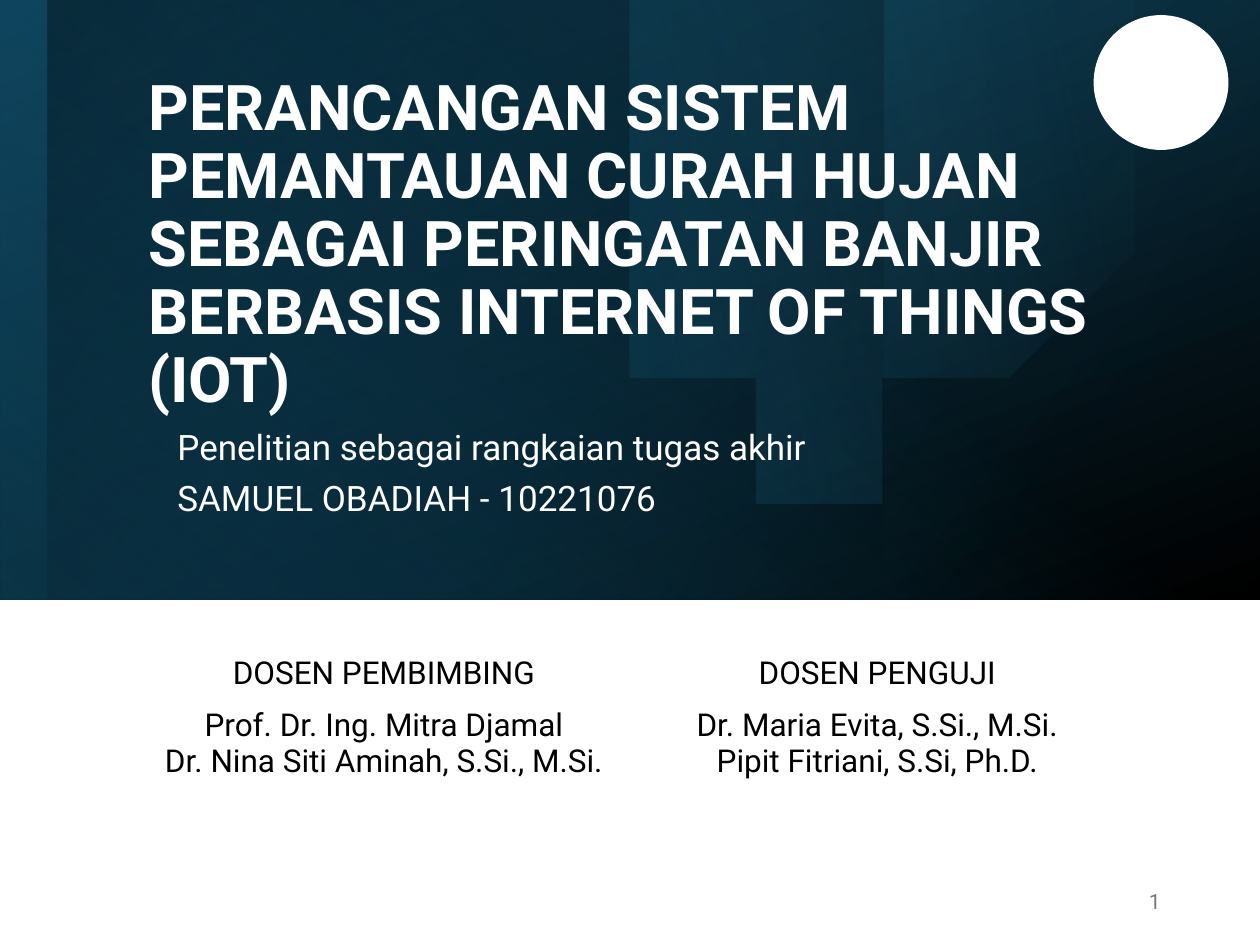
from lxml.etree import SubElement
from pptx import Presentation
from pptx.dml.color import RGBColor
from pptx.enum.shapes import MSO_SHAPE as SHAPE
from pptx.enum.text import MSO_ANCHOR as ANCHOR, PP_ALIGN as ALIGN
from pptx.oxml.ns import qn
from pptx.util import Inches, Pt


def color(hex_code):
    return RGBColor.from_string(hex_code)


def fade(shape, angle, *stops):
    """Fill with two (position %, colour, opacity %) stops; angle runs clockwise."""
    shape.shadow.inherit = False
    shape.line.fill.background()
    shape.fill.gradient()
    shape.fill.gradient_angle = 360 - angle
    for stop, (position, hex_code, _) in zip(shape.fill.gradient_stops, stops):
        stop.position = position / 100
        stop.color.rgb = color(hex_code)
    for node, (_, _, opacity) in zip(shape._element.spPr.iter(qn("a:srgbClr")), stops):
        if opacity < 100:
            SubElement(node, qn("a:alpha"), val=str(opacity * 1000))


deck = Presentation()
deck.slide_width, deck.slide_height = Inches(10), Inches(7.5)
page = deck.slides.add_slide(deck.slide_layouts[6])
shapes = page.shapes

# Banner: layered gradient panels
panels = [
    ((0, -0.02, 10, 4.78), 180, 250, (0, "104862", 100), (100, "000000", 100)),
    ((2.61, -2.63, 4.78, 10), 90, 40, (40, "156082", 0), (100, "104862", 52)),
    ((2.8, -2.45, 4.78, 9.63), 90, 130, (17, "156082", 0), (100, "000000", 37)),
    ((0, -0.02, 7.01, 4.78), 0, 310, (0, "0B3041", 0), (100, "000000", 25)),
]
for bounds, rotation, angle, *stops in panels:
    panel = shapes.add_shape(SHAPE.RECTANGLE, *map(Inches, bounds))
    panel.rotation = rotation
    fade(panel, angle, *stops)

# Translucent leaf: two straight edges, then four Bezier curves
leaf_points = [(5.13, 0.31), (9.22, -0.22), (9.22, -0.21)]
curves = [
    ((9.38, 0.45), (9.28, 1.25), (8.87, 2)),
    ((8.15, 3.33), (6.76, 3.97), (5.76, 3.43)),
    ((4.89, 2.96), (4.61, 1.74), (5.03, 0.55)),
]
STEPS = 24
for control_1, control_2, end in curves:
    corners = list(zip(leaf_points[-1], control_1, control_2, end))
    for step in range(1, STEPS + 1):
        t = step / STEPS
        weights = ((1 - t) ** 3, 3 * t * (1 - t) ** 2, 3 * t**2 * (1 - t), t**3)
        leaf_points.append(tuple(sum(w * c for w, c in zip(weights, axis)) for axis in corners))
builder = shapes.build_freeform(*leaf_points[0], scale=Inches(1))
builder.add_line_segments(leaf_points[1:], close=True)
fade(builder.convert_to_shape(), 348.5, (0, "156082", 22), (87, "46B1E1", 2))

# Title, page number and subtitle
texts = [
    ((1.08, 0.8, 8.25, 2.55), ANCHOR.BOTTOM, ALIGN.LEFT, 36, "FFFFFF", 0.9,
     ["PERANCANGAN SISTEM PEMANTAUAN CURAH HUJAN SEBAGAI PERINGATAN BANJIR "
      "BERBASIS INTERNET OF THINGS (IOT)"]),
    ((7.06, 6.95, 2.25, 0.4), ANCHOR.MIDDLE, ALIGN.RIGHT, 12, "797979", 1, ["1"]),
    ((1.31, 3.36, 7.76, 0.83), ANCHOR.MIDDLE, ALIGN.LEFT, 20, "FFFFFF", 0.8,
     ["Penelitian sebagai rangkaian tugas akhir", "SAMUEL OBADIAH - 10221076"]),
]
for bounds, anchor, align, size, hex_code, spacing, lines in texts:
    frame = shapes.add_textbox(*map(Inches, bounds)).text_frame
    frame.word_wrap = True
    frame.vertical_anchor = anchor
    frame.text = "\n".join(lines)
    for index, para in enumerate(frame.paragraphs):
        para.alignment = align
        para.line_spacing = spacing
        para.space_before = Pt(10 if index else 0)
        para.font.name = "Roboto"
        para.font.size = Pt(size)
        para.font.bold = size == 36
        para.font.color.rgb = color(hex_code)

badge = shapes.add_shape(SHAPE.OVAL, Inches(8.68), Inches(0.12), Inches(1.07), Inches(1.07))
badge.shadow.inherit = False
badge.fill.solid()
badge.fill.fore_color.rgb = color("FFFFFF")
badge.line.fill.background()

# Supervisors and examiners
lecturers = [
    ["DOSEN PEMBIMBING", "DOSEN PENGUJI"],
    ["Prof. Dr. Ing. Mitra Djamal\nDr. Nina Siti Aminah, S.Si., M.Si.",
     "Dr. Maria Evita, S.Si., M.Si.\nPipit Fitriani, S.Si, Ph.D."],
]
table = shapes.add_table(2, 2, Inches(1.09), Inches(5.15), Inches(7.83), Inches(1.11)).table
table.first_row = table.horz_banding = False
for row, height, names in zip(table.rows, (0.41, 0.7), lecturers):
    row.height = Inches(height)
    for cell, name in zip(row.cells, names):
        cell.fill.background()
        cell.text = name
        for para in cell.text_frame.paragraphs:
            para.alignment = ALIGN.CENTER
            para.font.name = "Roboto"
            para.font.size = Pt(18)
            para.font.color.rgb = color("000000")

deck.save("out.pptx")
